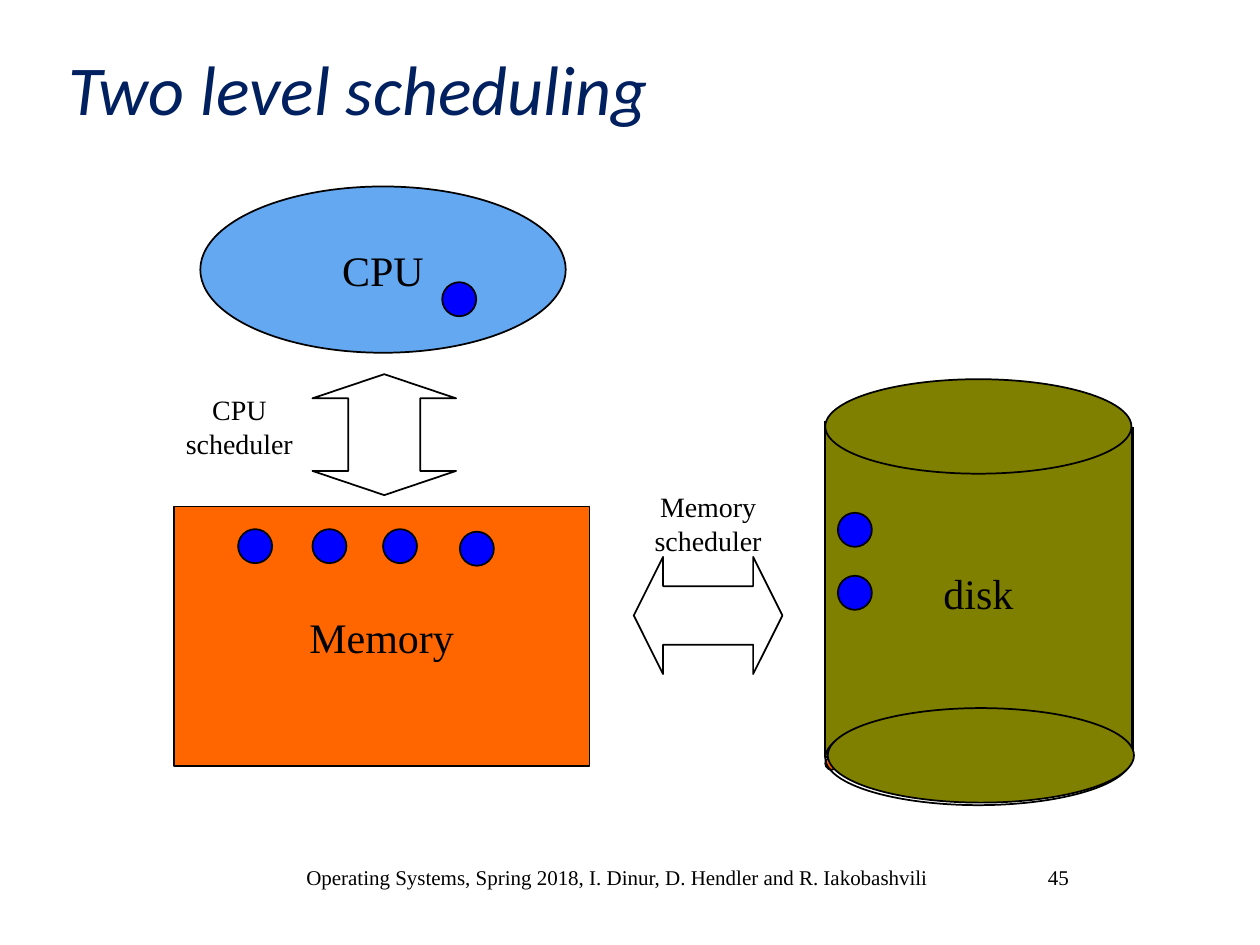
from lxml import etree
from pptx import Presentation
from pptx.dml.color import RGBColor
from pptx.enum.shapes import MSO_CONNECTOR, MSO_SHAPE
from pptx.enum.text import MSO_ANCHOR, MSO_AUTO_SIZE, PP_ALIGN
from pptx.oxml.ns import qn
from pptx.util import Inches, Pt

OVAL, RECT = MSO_SHAPE.OVAL, MSO_SHAPE.RECTANGLE
WIDE, TALL = MSO_SHAPE.LEFT_RIGHT_ARROW, MSO_SHAPE.UP_DOWN_ARROW
LINE = MSO_CONNECTOR.STRAIGHT
MIDDLE, BOTTOM = MSO_ANCHOR.MIDDLE, MSO_ANCHOR.BOTTOM
CENTER, LEFT = PP_ALIGN.CENTER, PP_ALIGN.LEFT
FIXED = MSO_AUTO_SIZE.NONE
color = RGBColor.from_string
BLACK, OLIVE, ORANGE, BLUE = "000000", "808000", "FF6600", "0000FF"


def write(shape, text, size, align=CENTER, hue=BLACK, **look):
    frame = shape.text_frame
    frame.text = text
    para = frame.paragraphs[0]
    para.alignment = align
    style = {"name": "Times New Roman", "size": Pt(size), **look}
    for key, value in style.items():
        setattr(para.font, key, value)
    para.font.color.rgb = color(hue)


def draw(kind, x, y, w, h, fill=None, text=None):
    shape = slide.shapes.add_shape(kind, Inches(x), Inches(y), Inches(w), Inches(h))
    shape.shadow.inherit = False
    if fill:
        shape.fill.solid()
        shape.fill.fore_color.rgb = color(fill)
    else:
        shape.fill.background()
    shape.line.color.rgb = color(BLACK)
    shape.line.width = Pt(1)
    if text:
        write(shape, text, 24)
        shape.text_frame.word_wrap = False
        shape.text_frame.vertical_anchor = MIDDLE
    return shape


deck = Presentation()
deck.slide_width, deck.slide_height = Inches(10), Inches(7.5)
slide = deck.slides.add_slide(deck.slide_layouts[5])

title = slide.shapes.title
place = {"left": 0.44, "top": 0.25, "width": 8.5, "height": 0.83}
for key, value in place.items():
    setattr(title, key, Inches(value))
write(title, "Two level scheduling", 40, LEFT, "002060", name="Calibri", italic=True)
title.text_frame.vertical_anchor = BOTTOM
title.text_frame.auto_size = FIXED

draw(OVAL, 1.59, 1.48, 2.9, 1.32, "64A8F2", "CPU")
draw(RECT, 1.38, 4.02, 3.3, 2.06, ORANGE, "Memory")

for x, y in [(6.55, 3.34), (8.99, 3.39)]:
    side = slide.shapes.add_connector(LINE, Inches(x), Inches(y), Inches(x), Inches(y + 2.62))
    side.line.color.rgb = color(BLACK)
    side.line.width = Pt(1)
    etree.SubElement(side._element.spPr, qn("a:effectLst"))

draw(RECT, 6.55, 3.39, 2.43, 2.62, OLIVE, "disk")
draw(OVAL, 6.55, 3.01, 2.43, 0.75, OLIVE)
draw(OVAL, 6.55, 6.01, 0.1, 0.1, ORANGE)
draw(OVAL, 6.55, 5.64, 2.43, 0.75)
draw(OVAL, 6.57, 5.62, 2.43, 0.75, OLIVE)

arrows = [(WIDE, 5.03, 4.42, 1.18, 0.93, 25000), (TALL, 2.48, 2.97, 1.14, 0.96, 20000)]
for kind, x, y, w, h, head in arrows:
    arrow = draw(kind, x, y, w, h)
    guides = arrow._element.spPr.find(qn("a:prstGeom")).find(qn("a:avLst"))
    guides.clear()
    for name, value in [("adj1", 50000), ("adj2", head)]:
        etree.SubElement(guides, qn("a:gd"), name=name, fmla=f"val {value}")

dots = [(x, 4.2) for x in (1.89, 2.48, 3.04)]
dots += [(3.65, 4.22), (6.65, 4.07), (6.65, 4.57), (3.51, 2.24)]
for x, y in dots:
    draw(OVAL, x, y, 0.27, 0.27, BLUE)

notes = [
    ("Memory scheduler", 5.03, 3.84, 1.18, 0.64, 16),
    ("CPU scheduler", 1.31, 3.07, 1.18, 0.64, 16),
    ("Operating Systems, Spring 2018, I. Dinur, D. Hendler and R. Iakobashvili",
     2.28, 6.81, 5.24, 0.5, 12),
    ("45", 7.36, 6.81, 2.08, 0.5, 12),
]
for text, x, y, w, h, size in notes:
    box = slide.shapes.add_textbox(Inches(x), Inches(y), Inches(w), Inches(h))
    box.text_frame.word_wrap = True
    write(box, text, size)

deck.save("out.pptx")
